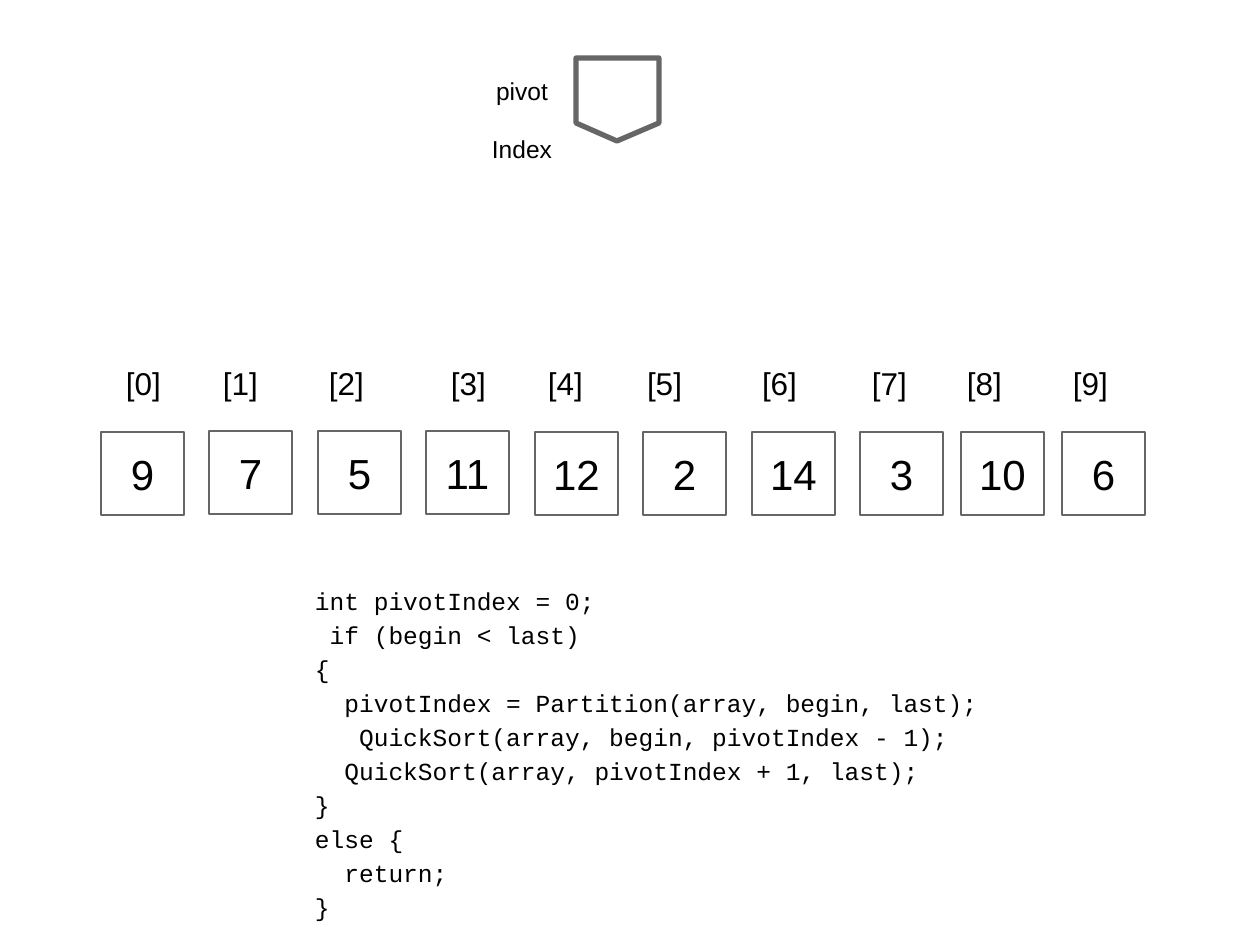
from lxml import etree
from pptx import Presentation, util as u
from pptx.dml.color import RGBColor
from pptx.enum import shapes, text
from pptx.oxml import ns

BLACK = RGBColor(0x00, 0x00, 0x00)
GRAY = RGBColor(0x66, 0x66, 0x66)
EMU_PER_PX = 914400 / 126

CELL_SIZE = 83
VALUES = [9, 7, 5, 11, 12, 2, 14, 3, 10, 6]
CELL_LEFTS = [101 + i * 217 // 2 for i in range(8)] + [961, 1062]
RAISED_CELLS = range(1, 4)
INDEX_LABELS = [
    (126, "[0]\t[1]", 97),
    (329, "[2]", 0),
    (451, "[3]\t[4]", 97),
    (647, "[5]", 0),
    (762, "[6]", 0),
    (872, "[7]\t[8]", 95),
    (1073, "[9]", 0),
]
MARKER = [(576, 58), (659, 58), (659, 123), (617, 141), (576, 123)]
CODE = """int pivotIndex = 0;
 if (begin < last)
{
  pivotIndex = Partition(array, begin, last);
   QuickSort(array, begin, pivotIndex - 1);
  QuickSort(array, pivotIndex + 1, last);
}
else {
  return;
}"""


def px(n):
    return u.Emu(round(n * EMU_PER_PX))


class ArraySlide:
    """Draws array cells, labels, code and a marker on one slide."""

    def __init__(self, prs):
        self.s = prs.slides.add_slide(prs.slide_layouts[6])

    def outline(self, sp, width):
        sp.shadow.inherit = False
        sp.fill.background()
        sp.line.color.rgb = GRAY
        sp.line.width = u.Pt(width)

    def set_lines(self, sp, lines, size, font="Arial", align=text.PP_ALIGN.LEFT,
                  spacing=None, gap=0, tab=0):
        tf = sp.text_frame
        tf.word_wrap = True
        tf.margin_left = tf.margin_right = tf.margin_top = tf.margin_bottom = 0
        for i, line in enumerate(lines):
            p = tf.add_paragraph() if i else tf.paragraphs[0]
            p.text = line
            p.alignment = align
            p.line_spacing = spacing
            if i and gap:
                p.space_before = u.Pt(gap)
            if tab:
                tabs = etree.SubElement(p._p.get_or_add_pPr(), ns.qn("a:tabLst"))
                etree.SubElement(tabs, ns.qn("a:tab"), pos=str(px(tab)), algn="l")
            p.font.name = font
            p.font.size = u.Pt(size)
            p.font.color.rgb = BLACK
        return tf

    def text(self, x, y, w, h, lines, size, **style):
        sp = self.s.shapes.add_textbox(px(x), px(y), px(w), px(h))
        self.set_lines(sp, lines, size, **style)

    def cell(self, x, y, value):
        sp = self.s.shapes.add_shape(shapes.MSO_SHAPE.RECTANGLE, px(x), px(y),
                                     px(CELL_SIZE), px(CELL_SIZE))
        self.outline(sp, 1.5)
        tf = self.set_lines(sp, [str(value)], 24, align=text.PP_ALIGN.CENTER)
        tf.vertical_anchor = text.MSO_ANCHOR.MIDDLE

    def marker(self, points):
        fb = self.s.shapes.build_freeform(*points[0], scale=EMU_PER_PX)
        fb.add_line_segments(points[1:], close=True)
        self.outline(fb.convert_to_shape(), 3)


def main():
    prs = Presentation()
    prs.slide_width, prs.slide_height = px(1260), px(945)
    slide = ArraySlide(prs)
    for i, (x, value) in enumerate(zip(CELL_LEFTS, VALUES)):
        slide.cell(x, 431 if i in RAISED_CELLS else 432, value)
    slide.text(315, 581, 670, 345, CODE.split("\n"), 14,
               font="Courier New", spacing=1.16)
    slide.marker(MARKER)
    slide.text(487, 77, 70, 88, ["pivot", "Index"], 14,
               align=text.PP_ALIGN.CENTER, spacing=u.Pt(16.5), gap=16.5)
    for x, label, tab in INDEX_LABELS:
        slide.text(x, 364, 140 if tab else 45, 40, [label], 18, tab=tab)
    prs.save("out.pptx")


if __name__ == "__main__":
    main()
